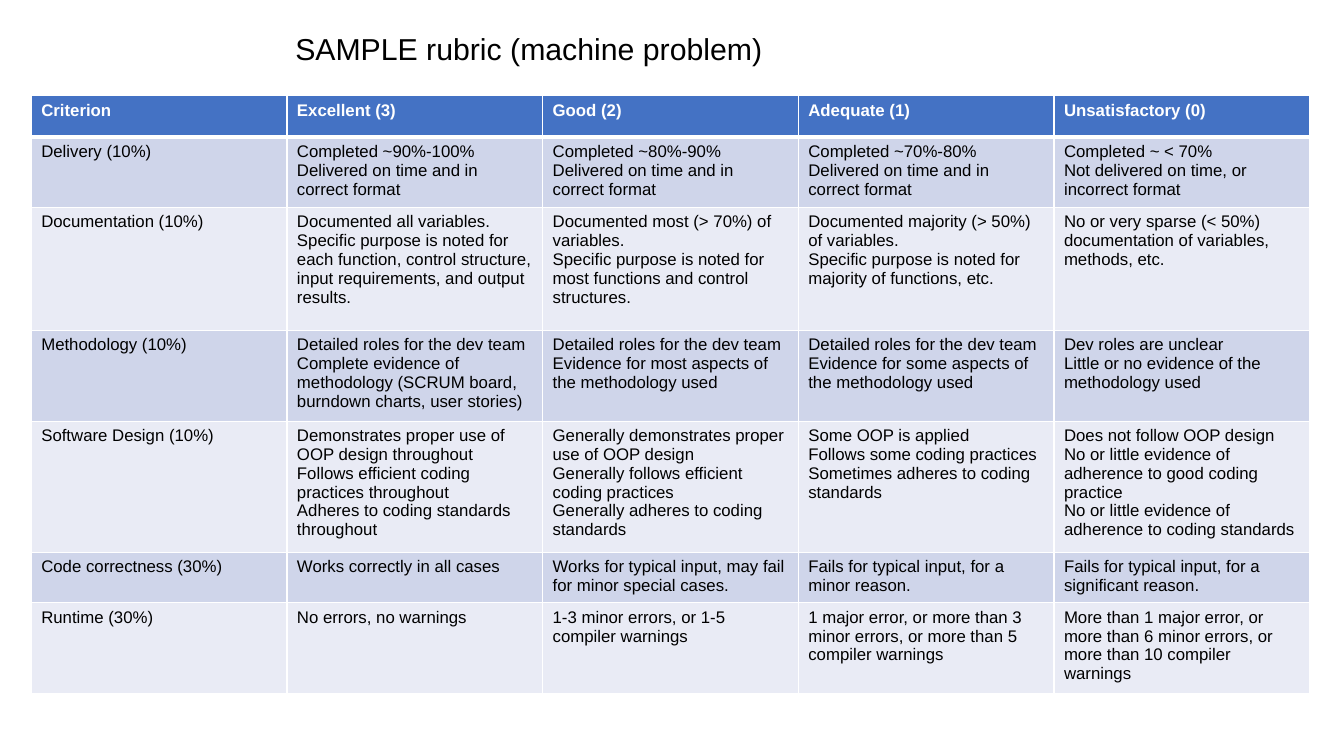
import dataclasses
import typing

import pptx
import pptx.dml.color
import pptx.enum.text
import pptx.oxml
import pptx.oxml.ns
import pptx.util

Inches = pptx.util.Inches
Pt = pptx.util.Pt


@dataclasses.dataclass(frozen=True)
class Theme:
    font: str = "Arial"
    title_size: float = 21.6
    table_size: float = 12
    ink: str = "000000"
    paper: str = "FFFFFF"
    header: str = "4472C4"
    bands: tuple[str, str] = ("CFD5EA", "E9EBF5")
    rule: float = 1
    header_rule: float = 3


@dataclasses.dataclass(frozen=True)
class Criterion:
    height: float
    name: str
    levels: tuple[str, str, str, str]


THEME = Theme()
COLUMN_WIDTH = 2.536

RUBRIC = [
    Criterion(0.41, "Criterion", (
        "Excellent (3)", "Good (2)", "Adequate (1)", "Unsatisfactory (0)")),
    Criterion(0.65, "Delivery (10%)", (
        "Completed ~90%-100%\nDelivered on time and in correct format",
        "Completed ~80%-90%\nDelivered on time and in correct format",
        "Completed ~70%-80%\nDelivered on time and in correct format",
        "Completed ~ < 70%\nNot delivered on time, or incorrect format")),
    Criterion(1.22, "Documentation (10%)", (
        "Documented all variables. \nSpecific purpose is noted for each function, "
        "control structure, input requirements, and output results.",
        "Documented most (> 70%) of variables. \nSpecific purpose is noted for "
        "most functions and control structures.",
        "Documented majority (> 50%) of variables.\nSpecific purpose is noted for "
        "majority of functions, etc.",
        "No or very sparse (< 50%) documentation of variables, methods, etc.")),
    Criterion(0.85, "Methodology (10%)", (
        "Detailed roles for the dev team\nComplete evidence of methodology "
        "(SCRUM board, burndown charts, user stories)",
        "Detailed roles for the dev team\nEvidence for most aspects of the methodology used",
        "Detailed roles for the dev team\nEvidence for some aspects of the methodology used",
        "Dev roles are unclear\nLittle or no evidence of the methodology used")),
    Criterion(1.22, "Software Design (10%)", (
        "Demonstrates proper use of OOP design throughout\n"
        "Follows efficient coding practices throughout\n"
        "Adheres to coding standards throughout",
        "Generally demonstrates proper use of OOP design\n"
        "Generally follows efficient coding practices\n"
        "Generally adheres to coding standards",
        "Some OOP is applied\nFollows some coding practices\n"
        "Sometimes adheres to coding standards",
        "Does not follow OOP design\n"
        "No or little evidence of adherence to good coding practice\n"
        "No or little evidence of adherence to coding standards")),
    Criterion(0.47, "Code correctness (30%)", (
        "Works correctly in all cases",
        "Works for typical input, may fail for minor special cases.",
        "Fails for typical input, for a minor reason.",
        "Fails for typical input, for a significant reason.")),
    Criterion(0.85, "Runtime (30%)", (
        "No errors, no warnings",
        "1-3 minor errors, or 1-5 compiler warnings",
        "1 major error, or more than 3 minor errors, or more than 5 compiler warnings",
        "More than 1 major error, or more than 6 minor errors, or more than 10 "
        "compiler warnings")),
]


def write(frame: typing.Any, text: str, size: float, color: str, bold: bool = False) -> None:
    frame.text = text
    for paragraph in frame.paragraphs:
        for run in paragraph.runs:
            run.font.name = THEME.font
            run.font.size = Pt(size)
            run.font.bold = bold
            run.font.color.rgb = pptx.dml.color.RGBColor.from_string(color)


def rule_cell(cell: typing.Any, top: float, bottom: float) -> None:
    properties = cell._tc.get_or_add_tcPr()
    widths = {"lnL": THEME.rule, "lnR": THEME.rule, "lnT": top, "lnB": bottom}
    for position, (edge, width) in enumerate(widths.items()):
        properties.insert(position, pptx.oxml.parse_xml(
            f'<a:{edge} {pptx.oxml.ns.nsdecls("a")} w="{Pt(width)}"><a:solidFill>'
            f'<a:srgbClr val="{THEME.paper}"/></a:solidFill></a:{edge}>'))


def add_title(slide: typing.Any, text: str) -> None:
    title = slide.shapes.add_textbox(Inches(2.83), Inches(0.34), Inches(7.85), Inches(0.33))
    frame = title.text_frame
    frame.word_wrap = True
    frame.vertical_anchor = pptx.enum.text.MSO_ANCHOR.MIDDLE
    write(frame, text, THEME.title_size, THEME.ink)
    frame.paragraphs[0].line_spacing = 0.9


def add_rubric(slide: typing.Any, criteria: list[Criterion]) -> None:
    columns = 1 + len(criteria[0].levels)
    rubric = slide.shapes.add_table(
        len(criteria), columns, Inches(0.31), Inches(0.95),
        Inches(COLUMN_WIDTH * columns), Inches(sum(c.height for c in criteria))).table
    for column in rubric.columns:
        column.width = Inches(COLUMN_WIDTH)
    for index, criterion in enumerate(criteria):
        rubric.rows[index].height = Inches(criterion.height)
        is_header = index == 0
        fill = THEME.header if is_header else THEME.bands[(index - 1) % 2]
        ink = THEME.paper if is_header else THEME.ink
        top = THEME.header_rule if index == 1 else THEME.rule
        bottom = THEME.header_rule if is_header else THEME.rule
        for cell, text in zip(rubric.rows[index].cells, (criterion.name, *criterion.levels)):
            write(cell.text_frame, text, THEME.table_size, ink, is_header)
            cell.fill.solid()
            cell.fill.fore_color.rgb = pptx.dml.color.RGBColor.from_string(fill)
            rule_cell(cell, top, bottom)


def main() -> None:
    presentation = pptx.Presentation()
    presentation.slide_width = Inches(13.33)
    presentation.slide_height = Inches(7.5)
    slide = presentation.slides.add_slide(presentation.slide_layouts[6])
    add_title(slide, "SAMPLE rubric (machine problem)")
    add_rubric(slide, RUBRIC)
    presentation.save("out.pptx")


main()
